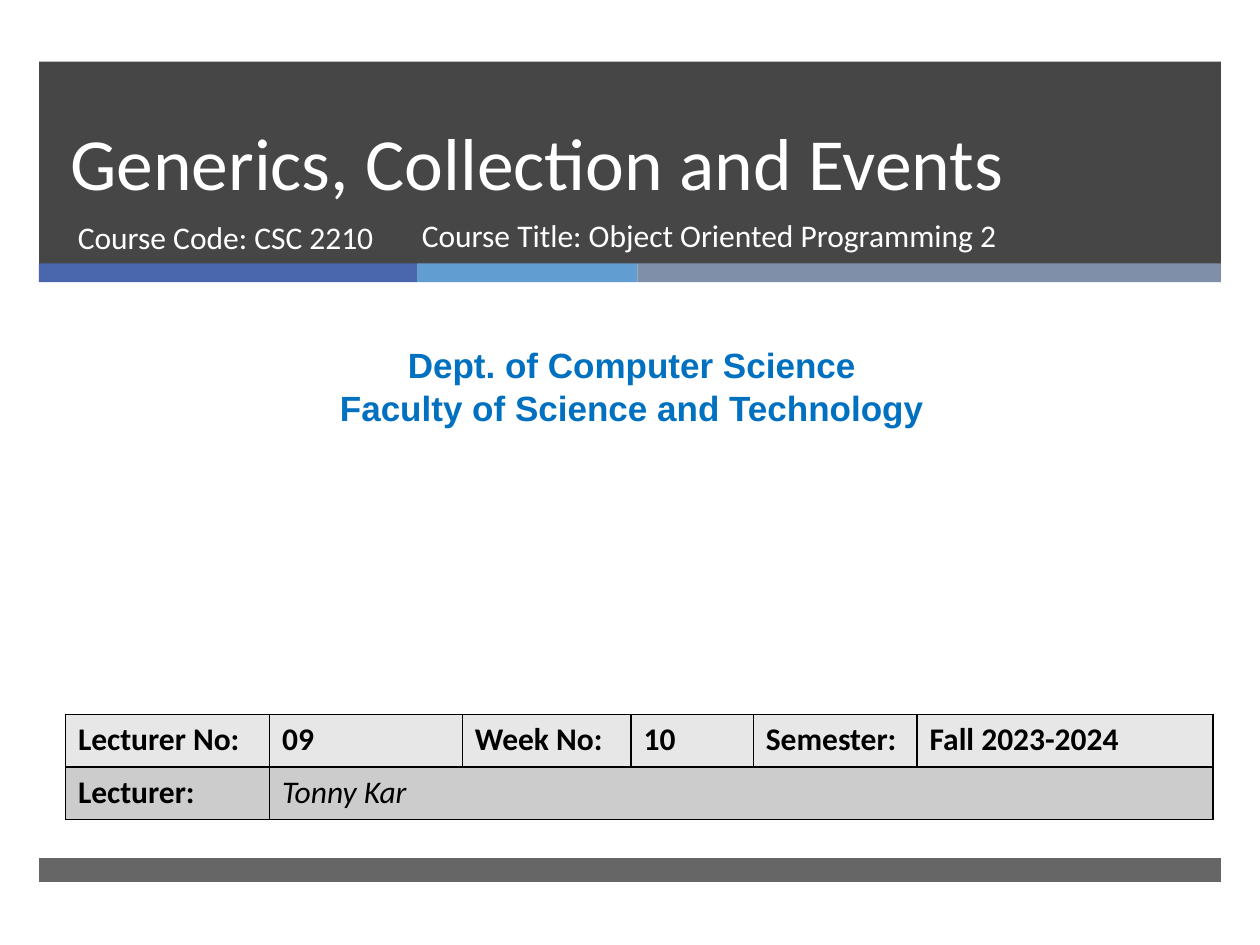
from lxml import etree
from pptx import Presentation
from pptx.dml.color import RGBColor
from pptx.enum import shapes, text
from pptx.oxml import ns
from pptx.util import Pt


def hue(code):
    return RGBColor.from_string(code)


def write(frame, lines, size, color, face="Calibri", bold=False, align=text.PP_ALIGN.LEFT):
    frame.word_wrap = True
    frame.text = lines
    for para in frame.paragraphs:
        para.alignment = align
        for run in para.runs:
            font = run.font
            font.name, font.size, font.bold = face, Pt(size), bold
            font.color.rgb = hue(color)


deck = Presentation()
deck.slide_width, deck.slide_height = Pt(720), Pt(540)
slide = deck.slides.add_slide(deck.slide_layouts[5])
tree = slide.shapes

# Header band, three accent strips and footer bar: left, top, width, height, colour, opacity
left, wide = 22.3, 675.4
bars = [
    (left, 35.3, wide, 115.6, "262626", 85),
    (left, 150.5, 216, 10.8, "4A66AC", 100),
    (left + 216, 150.5, 126, 10.8, "629DD1", 100),
    (left + 342, 150.5, wide - 342, 10.8, "7F8FA9", 100),
    (left, 490.3, wide, 13.7, "262626", 70),
]
for x, y, w, h, color, solid in bars:
    bar = tree.add_shape(shapes.MSO_SHAPE.RECTANGLE, Pt(x), Pt(y), Pt(w), Pt(h))
    bar.shadow.inherit = False
    bar.fill.solid()
    bar.fill.fore_color.rgb = hue(color)
    bar.line.fill.background()
    if solid < 100:
        tone = bar._element.spPr.find(".//" + ns.qn("a:srgbClr"))
        etree.SubElement(tone, ns.qn("a:alpha"), val=str(solid * 1000))

# Title, brought in front of the header band
title = tree.title
title.left, title.top, title.width, title.height = Pt(33.1), Pt(35.3), Pt(615), Pt(85.7)
write(title.text_frame, "Generics, Collection and Events", 42, "FFFFFF")
title.text_frame.auto_size = text.MSO_AUTO_SIZE.NONE
title.text_frame.vertical_anchor = text.MSO_ANCHOR.BOTTOM
title.text_frame.paragraphs[0].line_spacing = Pt(46)
title._element.getparent().append(title._element)

# Course details
for x, y, w, line in [
    (37.4, 121, 219.6, "Course Code: CSC 2210"),
    (234, 119.9, 368, "Course Title: Object Oriented Programming 2"),
]:
    box = tree.add_textbox(Pt(x), Pt(y), Pt(w), Pt(38))
    write(box.text_frame, line, 18, "FFFFFF")

# Department
dept = tree.add_textbox(Pt(5.8), Pt(193), Pt(710.6), Pt(55.7))
write(dept.text_frame, "Dept. of Computer Science\nFaculty of Science and Technology",
      20, "0070C0", "Arial", True, text.PP_ALIGN.CENTER)

# Lecture table
rows = [
    ["Lecturer No:", "09", "Week No:", "10", "Semester:", "Fall 2023-2024"],
    ["Lecturer:", "Tonny Kar", "", "", "", ""],
]
cols = [116.6, 110.2, 96.5, 69.8, 93.6, 169.2]
grid = tree.add_table(2, 6, Pt(37.4), Pt(408.2), Pt(sum(cols)), Pt(60)).table
for col, w in zip(grid.columns, cols):
    col.width = Pt(w)
for r, (row, shade) in enumerate(zip(rows, ["E7E7E7", "CCCCCC"])):
    grid.rows[r].height = Pt(30)
    for c, words in enumerate(row):
        cell = grid.cell(r, c)
        write(cell.text_frame, words, 18, "000000", bold=True)
        cell.fill.solid()
        cell.fill.fore_color.rgb = hue(shade)
        props = cell._tc.get_or_add_tcPr()
        for i, side in enumerate(["lnL", "lnR", "lnT", "lnB"]):
            edge = etree.Element(ns.qn("a:" + side), w="12700")
            fill = etree.SubElement(edge, ns.qn("a:solidFill"))
            etree.SubElement(fill, ns.qn("a:srgbClr"), val="000000")
            props.insert(i, edge)
grid.cell(1, 1).merge(grid.cell(1, 5))
name = grid.cell(1, 1).text_frame.paragraphs[0].runs[0].font
name.bold, name.italic = False, True

deck.save("out.pptx")
